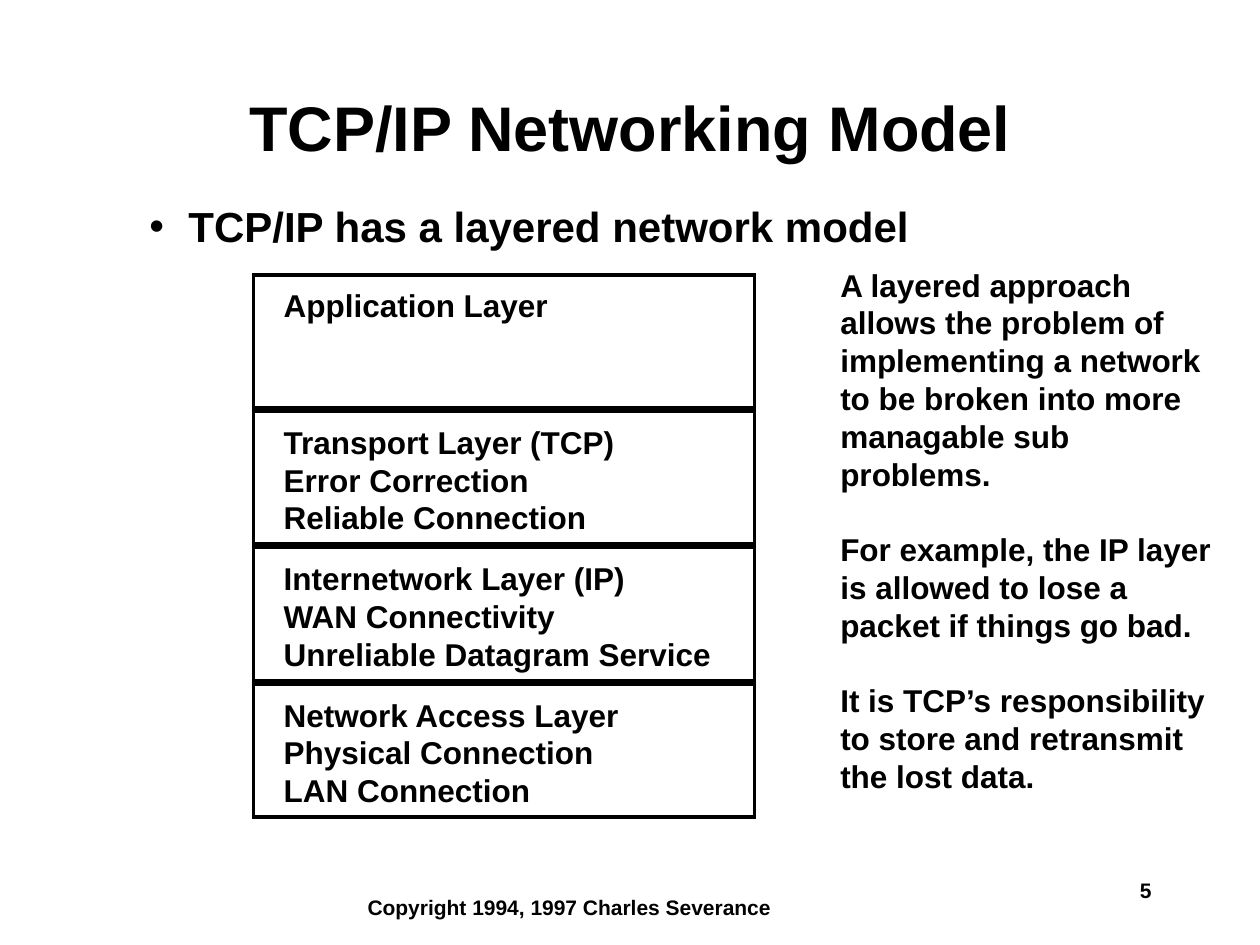
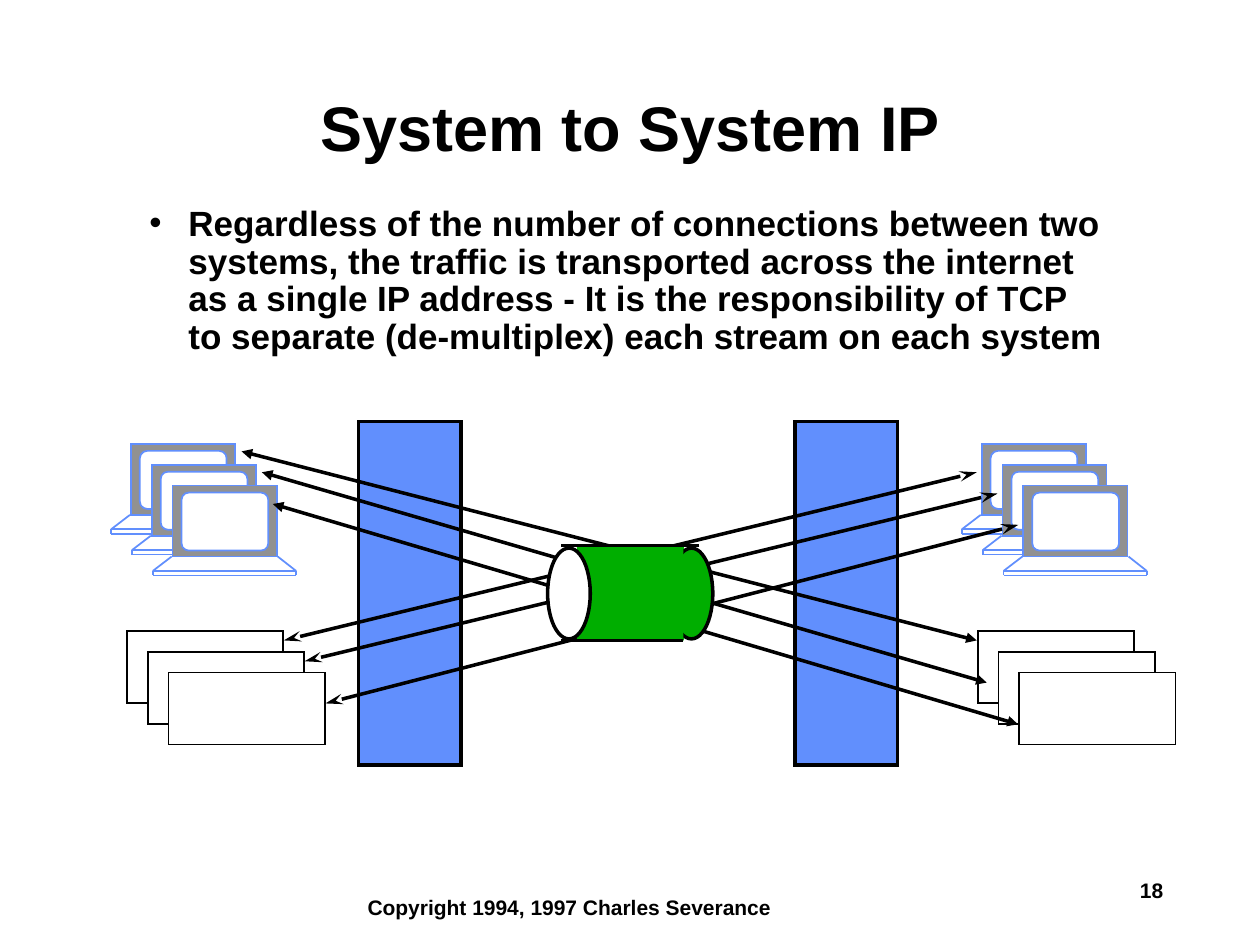
from dataclasses import dataclass

from lxml.etree import SubElement
from pptx import Presentation
from pptx.dml.color import RGBColor
from pptx.enum.shapes import MSO_CONNECTOR, MSO_SHAPE
from pptx.enum.text import MSO_ANCHOR, MSO_AUTO_SIZE, PP_ALIGN
from pptx.oxml.ns import qn
from pptx.util import Cm, Pt

HUES = {"ink": "000000", "paper": "FFFFFF", "blue": "618FFD",
        "grey": "919191", "green": "00AE00"}
FONT = "Arial"
NOTICE = "Copyright 1994, 1997 Charles Severance"
FRAME = {"word_wrap": True, "auto_size": MSO_AUTO_SIZE.NONE,
         "vertical_anchor": MSO_ANCHOR.TOP}
TITLE_FRAME = FRAME | {"vertical_anchor": MSO_ANCHOR.MIDDLE}
TITLE_PARA = {"alignment": PP_ALIGN.CENTER, "line_spacing": 0.9}
HEADS = {"triangle": "med", "stealth": "lg"}


@dataclass(frozen=True)
class Box:
    """Left, top, width and height in centimetres."""
    x: float
    y: float
    w: float
    h: float

    def move(self, dx: float, dy: float) -> "Box":
        return Box(self.x + dx, self.y + dy, self.w, self.h)

    def place(self) -> tuple:
        return Cm(self.x), Cm(self.y), Cm(self.w), Cm(self.h)


@dataclass(frozen=True)
class Line:
    """End points in centimetres, with an optional arrowhead for both ends."""
    x1: float
    y1: float
    x2: float
    y2: float
    head: str = ""


TITLE = Box(2.76, 1.7, 19.89, 1.9)
BODY = Box(2.76, 4.03, 19.8, 12.9)
FOOTER = Box(7.16, 17.91, 8.66, 0.76)
NUMBER = Box(22.73, 17.56, 2.54, 0.76)

LAYER = Box(5.11, 5.54, 10.1, 2.68)
LAYER_TEXT = Box(5.47, 5.65, 9.12, 2.54)
LAYER_STEP = 2.75
LAYERS = [
    ["Application Layer"],
    ["Transport Layer (TCP)", "Error Correction", "Reliable Connection"],
    ["Internetwork Layer (IP)", "WAN Connectivity",
     "Unreliable Datagram Service"],
    ["Network Access Layer", "Physical Connection", "LAN Connection"],
]
ASIDE = Box(16.69, 5.23, 8.31, 10.92)
REASONS = [
    "A layered approach allows the problem of implementing a network "
    "to be broken into more managable sub problems.",
    "For example, the IP layer is allowed to lose a packet if things go bad.",
    "It is TCP’s responsibility to store and retransmit the lost data.",
]

STACK = 3
STACK_STEP = 0.42
SIDE_GAP = 17.15
PILLAR_GAP = 8.8
CASE = Box(2.64, 8.95, 2.1, 1.43)
SCREEN = Box(2.82, 9.09, 1.75, 1.17)
SHEET = Box(2.56, 12.72, 3.15, 1.45)
PILLAR = Box(7.23, 8.5, 2.06, 6.92)
BASE = [  # keyboard edges, measured from the top left of the case
    Line(-0.02, 1.43, -0.4, 1.72), Line(-0.4, 1.72, 2.49, 1.72),
    Line(-0.4, 1.81, 2.49, 1.81), Line(-0.4, 1.72, -0.4, 1.81),
]
BASE_END = [Line(2.12, 1.43, 2.49, 1.72), Line(2.49, 1.72, 2.49, 1.81)]
STREAMS = [
    Line(5.5, 10.16, 20.52, 14.6, "triangle"),
    Line(5.28, 9.52, 19.89, 13.76, "triangle"),
    Line(4.87, 9.1, 19.69, 12.91, "triangle"),
    Line(5.72, 12.91, 19.69, 9.52, "stealth"),
    Line(6.14, 13.33, 20.11, 9.95, "stealth"),
    Line(6.56, 14.18, 20.53, 10.58, "stealth"),
]


def hue(name: str) -> RGBColor:
    return RGBColor.from_string(HUES[name])


def apply(thing, values: dict) -> None:
    for name, value in values.items():
        setattr(thing, name, value)


def write(frame, lines: list, size: float, para: dict, look: dict) -> None:
    """Fill a text frame with one bold paragraph per line."""
    apply(frame, look)
    for i, text in enumerate(lines):
        p = frame.add_paragraph() if i else frame.paragraphs[0]
        apply(p, para)
        run = p.add_run()
        run.text = text
        apply(run.font, {"name": FONT, "size": Pt(size), "bold": True})
        run.font.color.rgb = hue("ink")


def add_text(slide, box: Box, lines: list, size: float, **para):
    frame = slide.shapes.add_textbox(*box.place()).text_frame
    write(frame, lines, size, para, FRAME)
    return frame


def add_point(slide, text: str, size: float, before: float) -> None:
    """Add the bulleted statement under the title."""
    frame = add_text(slide, BODY, [text], size, line_spacing=0.9,
                     space_before=Pt(before))
    props = frame.paragraphs[0]._p.get_or_add_pPr()
    props.set("marL", str(Cm(0.79)))
    props.set("indent", str(Cm(-0.79)))
    tint = SubElement(props, qn("a:buClr"))
    SubElement(tint, qn("a:srgbClr"), val=HUES["ink"])
    SubElement(props, qn("a:buFont"), typeface=FONT)
    SubElement(props, qn("a:buChar"), char="•")


def add_form(shapes, kind, box: Box, fill: str, edge: str = "",
             width: float = 2):
    form = shapes.add_shape(kind, *box.place())
    form.shadow.inherit = False
    form.fill.solid()
    form.fill.fore_color.rgb = hue(fill)
    if edge:
        form.line.color.rgb = hue(edge)
        form.line.width = Pt(width)
        SubElement(form.line._get_or_add_ln(), qn("a:miter"), lim="800000")
    else:
        form.line.fill.background()
    return form


def add_line(shapes, line: Line, edge: str, width: float,
             dx: float = 0, dy: float = 0) -> None:
    link = shapes.add_connector(
        MSO_CONNECTOR.STRAIGHT, Cm(line.x1 + dx), Cm(line.y1 + dy),
        Cm(line.x2 + dx), Cm(line.y2 + dy))
    link.line.color.rgb = hue(edge)
    link.line.width = Pt(width)
    if line.head:
        for end in ("a:headEnd", "a:tailEnd"):
            SubElement(link.line._get_or_add_ln(), qn(end), type=line.head,
                       w="med", len=HEADS[line.head])
    SubElement(link._element.spPr, qn("a:effectLst"))


def add_laptop(slide, dx: float, dy: float, front: bool) -> None:
    """Draw a laptop; only the front one shows its right base edges."""
    parts = slide.shapes.add_group_shape().shapes
    add_form(parts, MSO_SHAPE.RECTANGLE, CASE.move(dx, dy), "grey", "blue", 1)
    screen = add_form(parts, MSO_SHAPE.ROUNDED_RECTANGLE,
                      SCREEN.move(dx, dy), "paper", "blue", 1)
    screen.adjustments[0] = 0.125
    for line in BASE + BASE_END if front else BASE:
        add_line(parts, line, "blue", 1, CASE.x + dx, CASE.y + dy)


def add_side(slide, dx: float, pillar_dx: float) -> None:
    """Draw one system: laptops, a pillar and a pile of sheets."""
    steps = [i * STACK_STEP for i in range(STACK)]
    for step in steps:
        add_laptop(slide, dx + step, step, step == steps[-1])
    add_form(slide.shapes, MSO_SHAPE.RECTANGLE, PILLAR.move(pillar_dx, 0),
             "blue", "ink")
    for step in steps:
        add_form(slide.shapes, MSO_SHAPE.RECTANGLE,
                 SHEET.move(dx + step, step), "paper", "ink", 1)


def add_pipe(slide) -> None:
    parts = slide.shapes.add_group_shape().shapes
    mouth = Box(11.04, 11.05, 0.86, 1.83)
    add_form(parts, MSO_SHAPE.RECTANGLE, Box(11.63, 11, 2.16, 1.91), "green")
    add_form(parts, MSO_SHAPE.OVAL, mouth.move(2.47, 0), "green", "ink")
    add_form(parts, MSO_SHAPE.RECTANGLE, Box(13.17, 11, 0.61, 1.91), "green")
    for line in (Line(14.1, 11, 11.3, 11), Line(13.77, 12.91, 11.3, 12.91)):
        add_line(parts, line, "ink", 2)
    add_form(parts, MSO_SHAPE.OVAL, mouth, "paper", "ink")


def add_page(deck, title: str, number: int):
    """Add a slide with its title, notice and page number."""
    slide = deck.slides.add_slide(deck.slide_layouts[5])
    add_text(slide, FOOTER, [NOTICE], 12)
    add_text(slide, NUMBER, [str(number)], 12)
    head = slide.shapes.title
    apply(head, dict(zip(("left", "top", "width", "height"), TITLE.place())))
    write(head.text_frame, [title], 36, TITLE_PARA, TITLE_FRAME)
    return slide


def draw_model(deck) -> None:
    slide = add_page(deck, "TCP/IP Networking Model", 5)
    add_point(slide, "TCP/IP has a layered network model", 24, 9)
    for i, lines in reversed(list(enumerate(LAYERS))):
        drop = i * LAYER_STEP
        add_form(slide.shapes, MSO_SHAPE.RECTANGLE, LAYER.move(0, drop),
                 "paper", "ink")
        add_text(slide, LAYER_TEXT.move(0, drop), lines, 18)
    add_text(slide, ASIDE, REASONS, 18, space_after=Pt(21.5))


def draw_system(deck) -> None:
    slide = add_page(deck, "System to System IP", 18)
    add_side(slide, 0, 0)
    add_side(slide, SIDE_GAP, PILLAR_GAP)
    for line in STREAMS:
        add_line(slide.shapes, line, "ink", 2)
    add_pipe(slide)
    add_point(slide, "Regardless of the number of connections between two "
              "systems, the traffic is transported across the internet as a "
              "single IP address - It is the responsibility of TCP to "
              "separate (de-multiplex) each stream on each system", 20, 7.5)


def main() -> None:
    deck = Presentation()
    apply(deck, {"slide_width": Cm(25.4), "slide_height": Cm(19.05)})
    draw_model(deck)
    draw_system(deck)
    deck.save("out.pptx")


if __name__ == "__main__":
    main()
